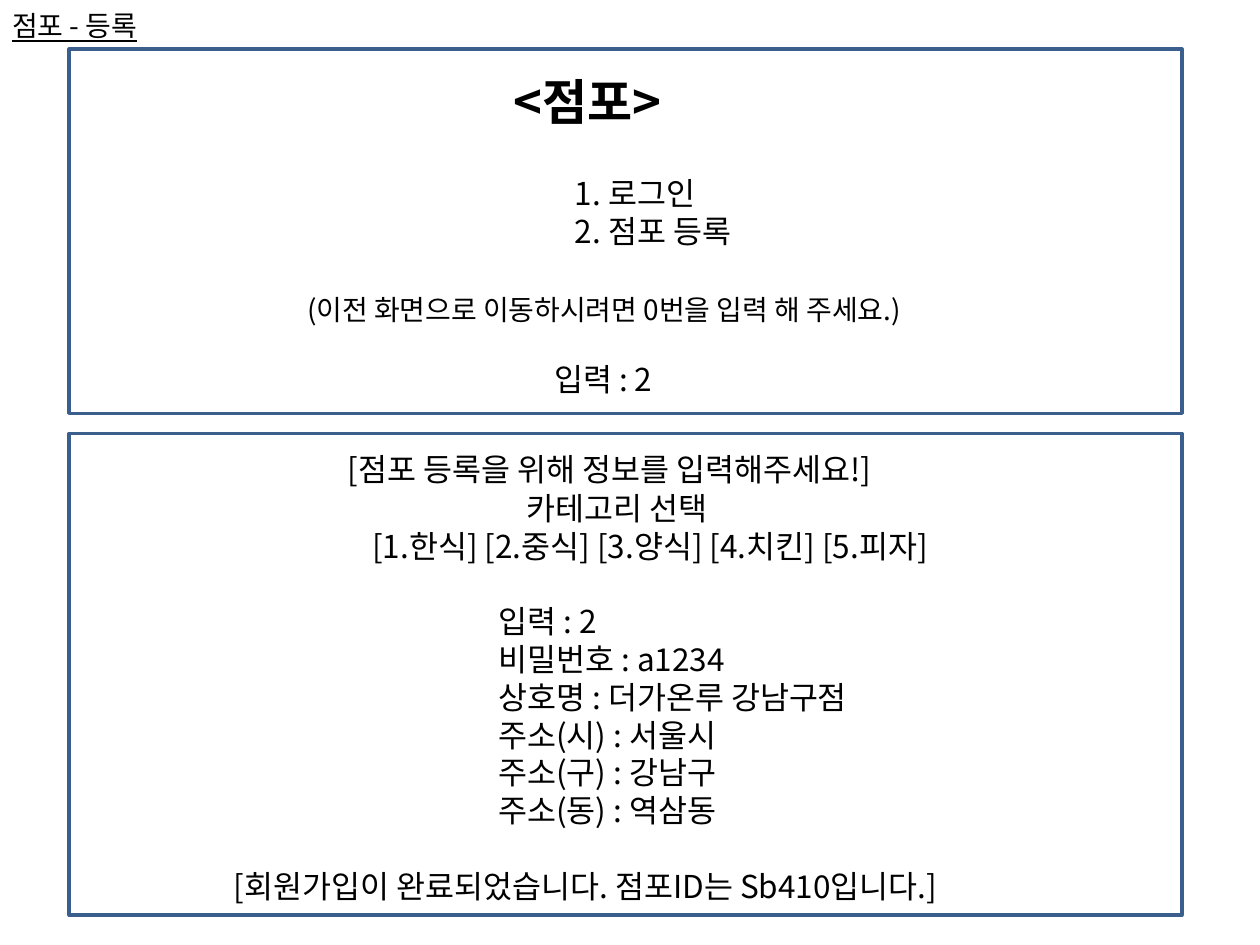
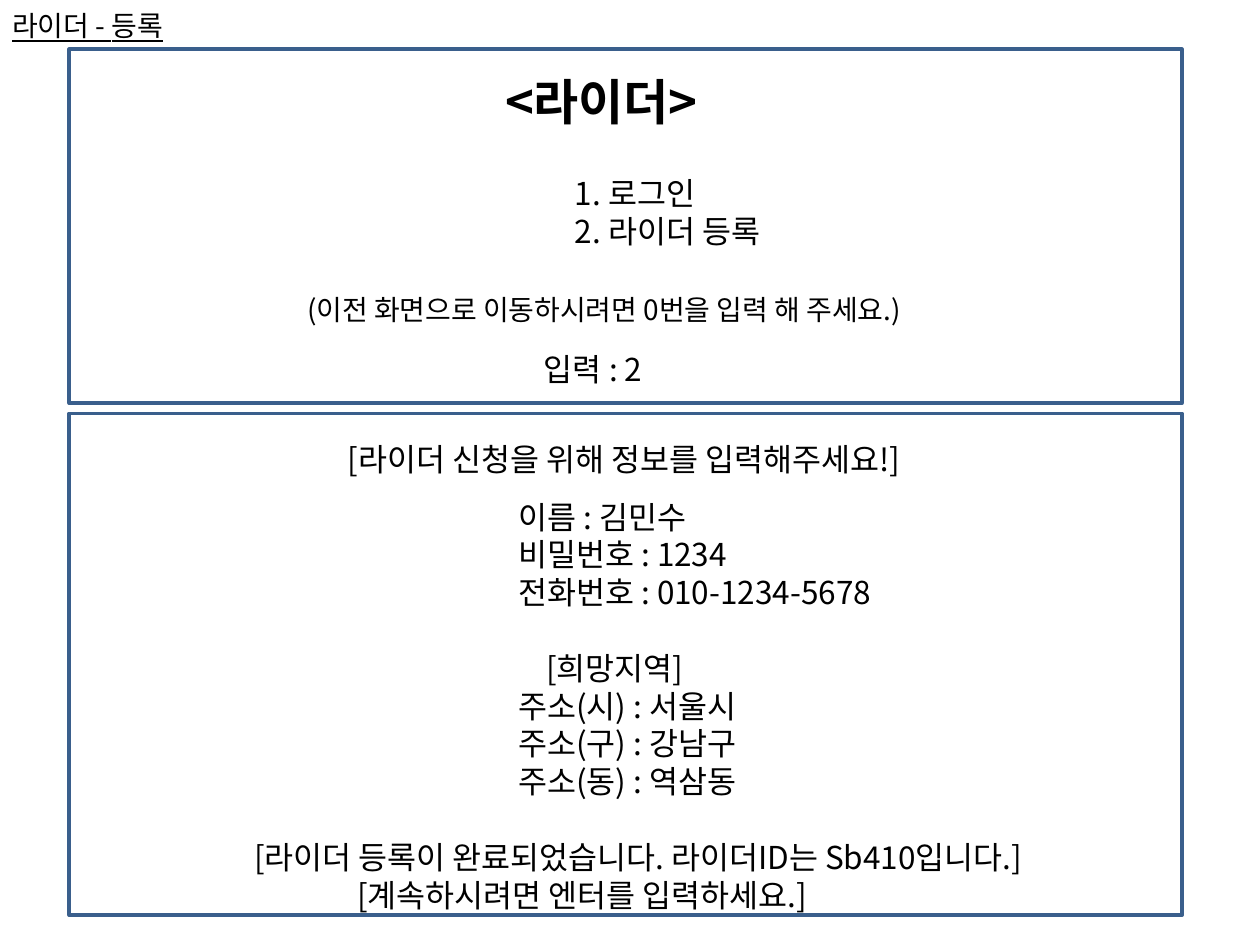
from pptx import Presentation
from pptx.dml.color import RGBColor
from pptx.enum.shapes import MSO_SHAPE
from pptx.enum.text import MSO_AUTO_SIZE
from pptx.oxml.ns import qn
from pptx.util import Pt
from lxml.etree import SubElement

COLORS = {"text": "000000", "frame": "3A5F8C"}
FONT = "Noto Sans CJK KR"
FRAME_LEFT, FRAME_WIDTH = 39.6, 635.8
FRAME_TOP, FRAME_BOTTOM = 28.1, 523
LINE = 21.6                       # one line of body text
TAB = 72
FIRST_TAB = 27
LIST_INDENT = FIRST_TAB + 3 * TAB
FIELD_INDENT = FIRST_TAB + 2 * TAB
CHOICE_INDENT = FIRST_TAB + TAB
HEADING_INDENT = FIELD_INDENT + 16
RESULT_INDENT = 20
CONTINUE_INDENT = 79


class ScreenDeck:
    """Holds the deck, its style and the current page."""

    def __init__(self):
        """Start an empty 10 by 7.5 inch deck."""
        self.deck = Presentation()
        self.deck.slide_width, self.deck.slide_height = Pt(720), Pt(540)
        self.page = None

    def add_page(self):
        """Start a blank page."""
        self.page = self.deck.slides.add_slide(self.deck.slide_layouts[6])

    def frame(self, top, bottom):
        """Draw one outlined console panel."""
        panel = self.page.shapes.add_shape(
            MSO_SHAPE.RECTANGLE, Pt(FRAME_LEFT), Pt(top), Pt(FRAME_WIDTH), Pt(bottom - top))
        panel.shadow.inherit = False
        panel.fill.background()
        panel.line.color.rgb = RGBColor.from_string(COLORS["frame"])
        panel.line.width = Pt(2)

    def text(self, left, top, width, height, lines, size=18, bold=None, underline=None):
        """Write lines given as (text, indent, blank space before)."""
        box = self.page.shapes.add_textbox(Pt(left), Pt(top), Pt(width), Pt(height))
        frame = box.text_frame
        frame.word_wrap = True
        frame.auto_size = MSO_AUTO_SIZE.SHAPE_TO_FIT_TEXT
        for index, (words, indent, gap) in enumerate(lines):
            para = frame.add_paragraph() if index else frame.paragraphs[0]
            para.space_before = Pt(gap)
            properties = para._p.get_or_add_pPr()
            properties.set("marL", str(Pt(indent)))
            properties.set("indent", "0")
            span = para.add_run()
            span.text = words
            font = span.font
            font.size, font.bold, font.underline = Pt(size), bold, underline
            font.name = FONT
            font.color.rgb = RGBColor.from_string(COLORS["text"])
            SubElement(span._r.get_or_add_rPr(), qn("a:ea")).set("typeface", FONT)

    def label(self, left, top, width, words, size=18, height=29, **style):
        """Write a single line."""
        self.text(left, top, width, height, [(words, 0, 0)], size, **style)

    def menu_panel(self, role, title_left, title_width, input_left, input_top, bottom):
        """Draw the page tag and the upper panel with its menu."""
        self.label(0, 1.4, 208, f"{role} - 등록", 16, 27, underline=True)
        self.frame(FRAME_TOP, bottom)
        self.label(title_left, 37.4, title_width, f"<{role}>", 28, 41, bold=True)
        self.text(78.5, 95.8, 534, 51, [
            ("1. 로그인", LIST_INDENT, 0), (f"2. {role} 등록", LIST_INDENT, 0)])
        self.label(168.5, 163.4, 428, "(이전 화면으로 이동하시려면 0번을 입력 해 주세요.)", 16, 27)
        self.label(input_left, input_top, 186, "입력 : 2")

    def form_panel(self, top, prompt, prompt_top, left, form_top, lines):
        """Draw the lower panel with its prompt and form."""
        self.frame(top, FRAME_BOTTOM)
        self.label(191.5, prompt_top, 371.5, prompt)
        self.text(left, form_top, 720 - left, 247, lines)


def fields(*entries):
    """Place form entries at the field indent."""
    return [(entry, FIELD_INDENT, 0) for entry in entries]


ADDRESS = fields("주소(시) : 서울시", "주소(구) : 강남구", "주소(동) : 역삼동")

screens = ScreenDeck()

screens.add_page()
screens.menu_panel("점포", 286.6, 118, 309.6, 202.3, 236.2)
screens.form_panel(247.7, "[점포 등록을 위해 정보를 입력해주세요!]", 253.4, 106.6, 275.8, [
    ("카테고리 선택", HEADING_INDENT, 0),
    ("[1.한식] [2.중식] [3.양식] [4.치킨] [5.피자]", CHOICE_INDENT, 0),
    ("입력 : 2", FIELD_INDENT, LINE),
    *fields("비밀번호 : a1234", "상호명 : 더가온루 강남구점"),
    *ADDRESS,
    ("[회원가입이 완료되었습니다. 점포ID는 Sb410입니다.]", RESULT_INDENT, LINE),
])

screens.add_page()
screens.menu_panel("라이더", 281.5, 157.7, 303.8, 196.6, 230.4)
screens.form_panel(236.2, "[라이더 신청을 위해 정보를 입력해주세요!]", 247.7, 118.1, 280.8, [
    *fields("이름 : 김민수", "비밀번호 : 1234", "전화번호 : 010-1234-5678"),
    ("[희망지역]", HEADING_INDENT, LINE),
    *ADDRESS,
    ("[라이더 등록이 완료되었습니다. 라이더ID는 Sb410입니다.]", RESULT_INDENT, LINE),
    ("[계속하시려면 엔터를 입력하세요.]", CONTINUE_INDENT, 0),
])

screens.deck.save("out.pptx")
